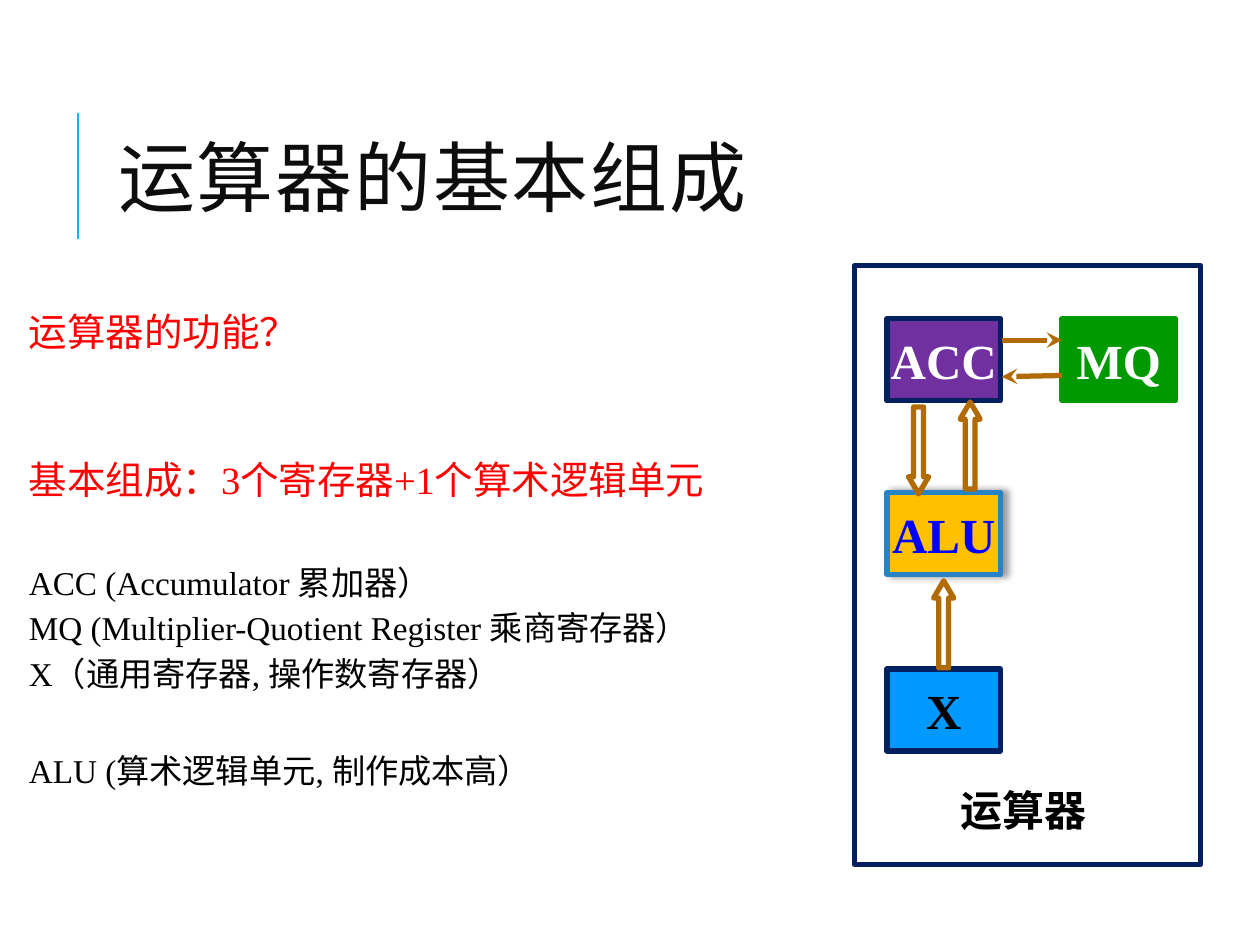
import pptx
import pptx.dml.color
import pptx.enum.shapes
import pptx.enum.text
import pptx.oxml.ns
import pptx.util
from lxml import etree
from pptx.util import Inches, Pt

COLORS = {
    "accent": "1CADE4", "title": "0D0D0D", "red": "FF0000", "black": "000000",
    "white": "FFFFFF", "navy": "002060", "green": "009900", "purple": "7030A0",
    "gold": "FFC000", "steel": "2683C6", "blue": "0000FF", "sky": "0099FF",
    "arrow": "B26B02",
}
SERIF, CJK = "Times New Roman", "Noto Sans CJK SC"
SHAPES = pptx.enum.shapes.MSO_SHAPE
ALIGN = pptx.enum.text.PP_ALIGN
ANCHOR = pptx.enum.text.MSO_ANCHOR


def rgb(name):
    return pptx.dml.color.RGBColor.from_string(COLORS[name])


def add_xml(parent, tag, **values):
    return etree.SubElement(parent, pptx.oxml.ns.qn(tag), values)


def set_attributes(target, values):
    for name, value in values.items():
        setattr(target, name, value)


def set_line(shape, color, width=3):
    shape.line.color.rgb = rgb(color)
    shape.line.width = Pt(width)


def set_frame(shape, margin=0, wrap=True, anchor=ANCHOR.TOP):
    frame = shape.text_frame
    set_attributes(frame, {"word_wrap": wrap, "vertical_anchor": anchor})
    for side in ("left", "top", "right", "bottom"):
        setattr(frame, f"margin_{side}", Inches(margin))
    return frame


def write(para, text, color, size, font=SERIF, bold=False):
    span = para.add_run()
    span.text = text
    set_attributes(span.font, {"size": Pt(size), "bold": bold, "name": font})
    span.font.color.rgb = rgb(color)
    add_xml(span.font._element, "a:ea", typeface=CJK)
    return span


def add_line(page, start, end, color, width):
    line = page.shapes.add_connector(
        pptx.enum.shapes.MSO_CONNECTOR.STRAIGHT,
        *(Inches(value) for value in (*start, *end)))
    set_line(line, color, width)
    add_xml(line._element.spPr, "a:effectLst")
    return line


def add_title(page, left, top, width, height):
    add_line(page, (left - 0.22, top + 1.26), (left - 0.22, top + 0.26), "accent", 1.5)
    box = page.shapes.add_textbox(*map(Inches, (left, top, width, height)))
    frame = set_frame(box, 0.1, anchor=ANCHOR.MIDDLE)
    para = frame.paragraphs[0]
    para.line_spacing = 0.8
    span = write(para, "运算器的基本组成", "title", 44, "Cabin")
    span.font._element.set("spc", "100")


def add_body(page, left, top, width, height):
    lines = [
        ("运算器的功能？", "red", 22, 0),
        ("基本组成：3个寄存器+1个算术逻辑单元", "red", 22, 61),
        ("ACC (Accumulator 累加器）", "black", 19, 37),
        ("MQ (Multiplier-Quotient Register 乘商寄存器）", "black", 19, 5.7),
        ("X（通用寄存器, 操作数寄存器）", "black", 19, 5.7),
        ("ALU (算术逻辑单元, 制作成本高）", "black", 19, 35.4),
    ]
    box = page.shapes.add_textbox(*map(Inches, (left, top, width, height)))
    frame = set_frame(box, 0.05)
    for index, (text, color, size, before) in enumerate(lines):
        para = frame.add_paragraph() if index else frame.paragraphs[0]
        set_attributes(para, {"line_spacing": 0.8, "space_before": Pt(before),
                              "space_after": Pt(2)})
        write(para, text, color, size)


def add_unit(page, left, top, text, fill, border, color):
    unit = page.shapes.add_shape(
        SHAPES.RECTANGLE, *map(Inches, (left, top, 0.9, 0.65)))
    unit.shadow.inherit = False
    unit.fill.solid()
    unit.fill.fore_color.rgb = rgb(fill)
    set_line(unit, border)
    frame = set_frame(unit, wrap=False, anchor=ANCHOR.MIDDLE)
    frame.paragraphs[0].alignment = ALIGN.CENTER
    write(frame.paragraphs[0], text, color, 28, bold=True)
    return unit


def add_soft_shadow(shape):
    effects = shape._element.spPr.find(pptx.oxml.ns.qn("a:effectLst"))
    shadow = add_xml(effects, "a:outerShdw", blurRad=str(Pt(4)), dist=str(Pt(3)),
                     dir="0", algn="l", rotWithShape="0")
    tint = add_xml(shadow, "a:srgbClr", val=COLORS["black"])
    add_xml(tint, "a:alpha", val="40000")


def add_block_arrow(page, left, top, rotation=0):
    arrow = page.shapes.add_shape(
        SHAPES.UP_ARROW, *map(Inches, (left, top, 0.16, 0.69)))
    arrow.shadow.inherit = False
    arrow.adjustments[0], arrow.adjustments[1] = 0.495, 0.857
    arrow.rotation = rotation
    arrow.fill.background()
    set_line(arrow, "arrow")


def add_diagram(page, left, top, width, height):
    column, register_row = left + 0.26, top + 0.42
    add_unit(page, column, register_row, "ACC", "purple", "navy", "white")
    add_unit(page, column + 1.39, register_row, "MQ", "green", "green", "white")
    alu = add_unit(page, column, top + 1.8, "ALU", "gold", "steel", "blue")
    add_soft_shadow(alu)
    add_unit(page, column, top + 3.2, "X", "sky", "navy", "black")

    caption = page.shapes.add_textbox(
        *map(Inches, (left + 0.84, top + 4.12, 1.01, 0.4)))
    frame = set_frame(caption, wrap=False)
    write(frame.paragraphs[0], "运算器", "black", 24, CJK, True)

    border = page.shapes.add_shape(
        SHAPES.RECTANGLE, *map(Inches, (left, top, width, height)))
    border.shadow.inherit = False
    border.fill.background()
    set_line(border, "navy")

    for x, y, rotation in ((0.84, 1.08, 0), (0.63, 2.5, 0), (0.43, 1.12, 180)):
        add_block_arrow(page, left + x, top + y, rotation)
    for start, end in (((1.17, 0.59), (1.65, 0.59)), ((1.65, 0.87), (1.17, 0.88))):
        link = add_line(page, (left + start[0], top + start[1]),
                        (left + end[0], top + end[1]), "arrow", 3)
        add_xml(link.line._get_or_add_ln(), "a:tailEnd", type="stealth")


def main():
    deck = pptx.Presentation()
    deck.slide_width, deck.slide_height = Inches(10), Inches(7.5)
    page = deck.slides.add_slide(deck.slide_layouts[6])
    add_title(page, 0.84, 0.64, 7.97, 1.64)
    add_body(page, 0.18, 2.47, 7.97, 4.4)
    add_diagram(page, 6.78, 2.11, 2.75, 4.75)
    deck.save("out.pptx")


if __name__ == "__main__":
    main()
